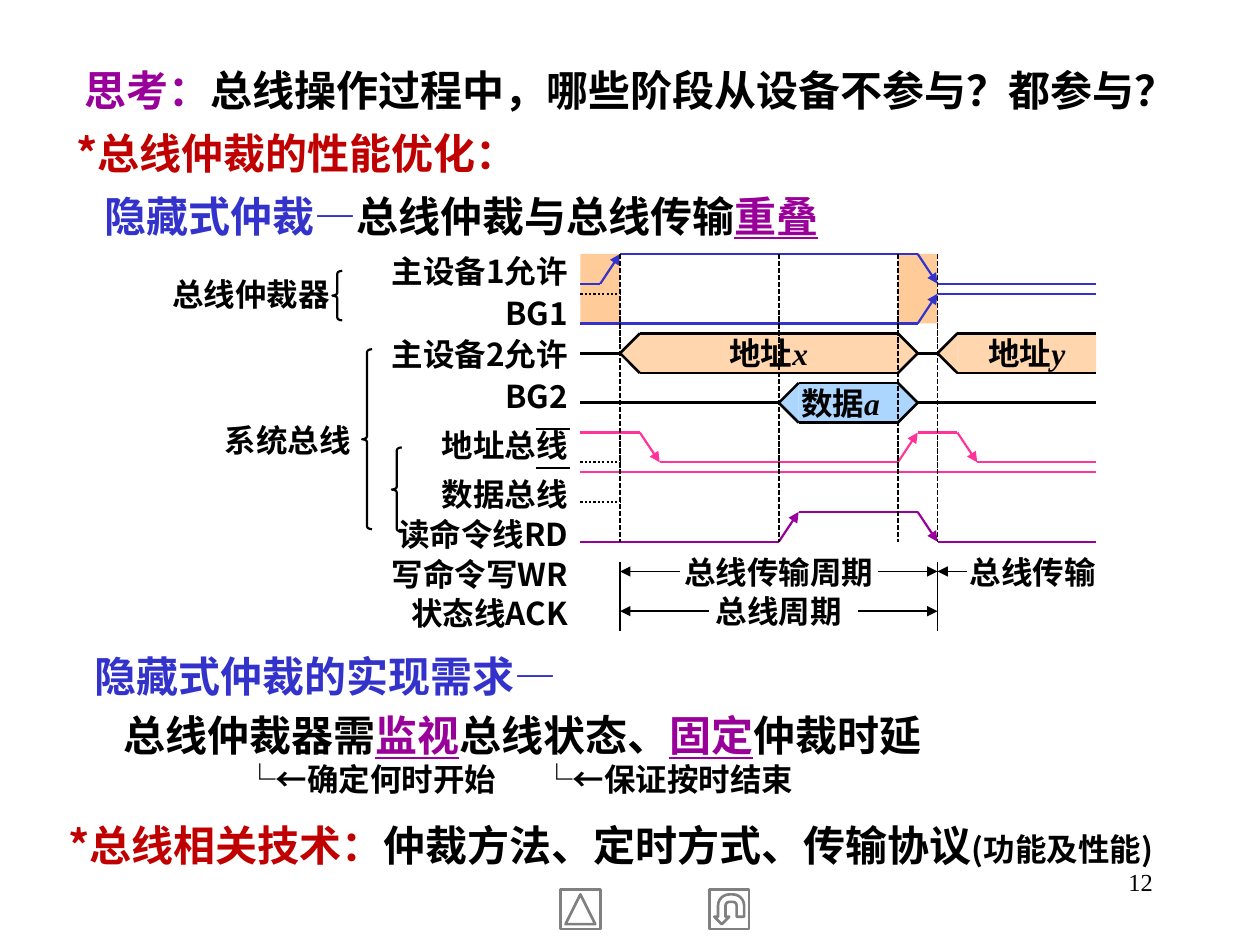
"""Build the slide on hidden bus arbitration with its timing diagram."""
from itertools import pairwise

from lxml.etree import SubElement
from pptx import Presentation
from pptx.dml.color import RGBColor
from pptx.enum.dml import MSO_LINE
from pptx.enum.shapes import MSO_CONNECTOR, MSO_SHAPE
from pptx.enum.text import MSO_ANCHOR, MSO_AUTO_SIZE, PP_ALIGN
from pptx.oxml.ns import qn
from pptx.util import Cm, Pt

BLACK, BLUE, PURPLE, RED = "000000", "3333CC", "990099", "C00000"
PINK, GRAY, ORANGE, PEACH, SKY = "FF3399", "808080", "FFCC99", "FFCC99", "99CCFF"
ROMAN = "Times New Roman"
TIGHT = (0.05, 0.03, 0.05, 0.03)
LOOSE = (0.25, 0.13, 0.25, 0.13)
START, GRANT, DATA, RELEASE, NEXT, END = 0, 2, 10, 16, 18, 26


def rgb(value):
    return RGBColor.from_string(value)


def grid(column, row):
    return 11.7 + 0.4 * column, 5.12 + 0.2 * row


class Painter:
    def __init__(self, slide):
        self.slide = slide
        self.font = "Noto Sans CJK SC"

    def run(self, paragraph, text, color=BLACK, size=18, bold=True, font=None, **marks):
        run = paragraph.add_run()
        run.text = text
        run.font.name = font or self.font
        SubElement(run._r.get_or_add_rPr(), qn("a:ea")).set("typeface", font or self.font)
        run.font.size = Pt(size)
        run.font.bold = bold
        run.font.color.rgb = rgb(color)
        for name, value in marks.items():
            setattr(run.font, name, value)

    def paragraph(self, frame, runs, indent=0, spacing=None, align=PP_ALIGN.LEFT, tab=None):
        paragraph = frame.paragraphs[0]
        if paragraph.runs:
            paragraph = frame.add_paragraph()
        properties = paragraph._p.get_or_add_pPr()
        if indent:
            properties.set("indent", str(Cm(indent)))
        if tab:
            tab_list = SubElement(properties, qn("a:tabLst"))
            SubElement(tab_list, qn("a:tab"), pos=str(Cm(tab)), algn="l")
        paragraph.alignment = align
        if spacing:
            paragraph.line_spacing = spacing
        for text, options in runs:
            self.run(paragraph, text, **options)

    def frame(self, shape, insets=TIGHT, anchor=MSO_ANCHOR.TOP):
        frame = shape.text_frame
        frame.word_wrap = True
        frame.vertical_anchor = anchor
        frame.margin_left, frame.margin_top, frame.margin_right, frame.margin_bottom = map(Cm, insets)
        return frame

    def text_box(self, left, top, width, height, insets=TIGHT, anchor=MSO_ANCHOR.TOP, grow=False):
        shape = self.slide.shapes.add_textbox(Cm(left), Cm(top), Cm(width), Cm(height))
        frame = self.frame(shape, insets, anchor)
        if grow:
            frame.auto_size = MSO_AUTO_SIZE.SHAPE_TO_FIT_TEXT
        return frame

    def label(self, left, top, width, text, align=PP_ALIGN.CENTER, height=0.8,
              anchor=MSO_ANCHOR.MIDDLE, spacing=None):
        frame = self.text_box(left, top, width, height, anchor=anchor)
        self.paragraph(frame, [(text, {})], align=align, spacing=spacing)

    def shape(self, kind, left, top, width, height, fill=None, alpha=None,
              line=None, weight=1.25, rotation=0):
        shape = self.slide.shapes.add_shape(kind, Cm(left), Cm(top), Cm(width), Cm(height))
        shape.shadow.inherit = False
        shape.rotation = rotation
        if fill:
            shape.fill.solid()
            shape.fill.fore_color.rgb = rgb(fill)
        else:
            shape.fill.background()
        if alpha:
            color = shape._element.spPr.find(".//" + qn("a:srgbClr"))
            SubElement(color, qn("a:alpha")).set("val", str(alpha * 1000))
        if line:
            shape.line.color.rgb = rgb(line)
            shape.line.width = Pt(weight)
        else:
            shape.line.fill.background()
        return shape

    def line(self, begin, end, color=BLACK, weight=1.25, dash=None, arrow=False):
        points = map(Cm, grid(*begin) + grid(*end))
        connector = self.slide.shapes.add_connector(MSO_CONNECTOR.STRAIGHT, *points)
        connector.line.color.rgb = rgb(color)
        connector.line.width = Pt(weight)
        if dash:
            connector.line.dash_style = dash
        if arrow:
            SubElement(connector.line._get_or_add_ln(), qn("a:tailEnd")).set("type", "triangle")
        SubElement(connector._element.spPr, qn("a:effectLst"))

    def signal(self, points, color=BLACK, weight=1.25):
        for begin, end in pairwise(points):
            self.line(begin, end, color, weight, arrow=begin[1] != end[1])

    def tip(self, column, row, fill, rotation):
        x, y = grid(column, row)
        self.shape(MSO_SHAPE.FLOWCHART_MERGE, x - 0.4, y - 0.2, 0.8, 0.4, fill, 80, rotation=rotation)

    def bus_value(self, left, right, top, fill, name, symbol, closed=True, align=PP_ALIGN.CENTER):
        inner, outer = left + 1, right - 1 if closed else right
        middle, bottom = top + 2, top + 4
        body = self.shape(MSO_SHAPE.RECTANGLE, *grid(inner, top), 0.4 * (outer - inner), 0.8, fill, 80)
        runs = [(name, {}), (symbol, {"font": ROMAN, "italic": True})]
        self.paragraph(self.frame(body, anchor=MSO_ANCHOR.MIDDLE), runs, align=align)
        self.tip(left + 0.5, middle, fill, 90)
        if closed:
            self.tip(right - 0.5, middle, fill, 270)
        for edge in (top, bottom):
            self.line((inner, edge), (outer, edge), weight=1.5)
            self.line((left, middle), (inner, edge), weight=1.5)
            if closed:
                self.line((outer, edge), (right, middle), weight=1.5)

    def brace(self, left, top, height):
        brace = self.shape(MSO_SHAPE.LEFT_BRACE, left, top, 0.2, height, line=BLACK)
        brace.adjustments[0] = 0.28


def draw_timing(painter):
    painter.shape(MSO_SHAPE.RECTANGLE, *grid(START, 0), 0.8, 1.4, ORANGE)
    painter.shape(MSO_SHAPE.RECTANGLE, *grid(RELEASE, 0), 0.8, 1.4, ORANGE)
    painter.bus_value(GRANT, 17, 8, PEACH, "地址", "x")
    painter.bus_value(DATA, 17, 13, SKY, "数据", "a", align=PP_ALIGN.LEFT)
    painter.bus_value(NEXT, END, 8, PEACH, "地址", "y", closed=False)
    signals = [
        (BLUE, [(START, 3), (1, 3), (GRANT, 0), (RELEASE, 0), (17, 0), (NEXT, 3), (END, 3)]),
        (BLUE, [(START, 7), (GRANT, 7), (RELEASE, 7), (17, 7), (NEXT, 4), (END, 4)]),
        (PINK, [(START, 18), (GRANT, 18), (3, 18), (4, 21), (RELEASE, 21), (17, 18),
                (NEXT, 18), (19, 18), (20, 21), (END, 21)]),
        (PINK, [(START, 22), (GRANT, 22), (RELEASE, 22), (NEXT, 22), (END, 22)]),
        (PURPLE, [(START, 29), (GRANT, 29), (DATA, 29), (11, 26), (RELEASE, 26), (17, 26),
                  (NEXT, 29), (END, 29)]),
    ]
    for color, points in signals:
        painter.signal(points, color)
    for points in ([(START, 10), (GRANT, 10)], [(17, 10), (NEXT, 10)],
                   [(START, 15), (GRANT, 15), (DATA, 15)], [(17, 15), (NEXT, 15), (END, 15)]):
        painter.signal(points, weight=1.5)
    for row in (4, 21, 25):
        painter.line((START, row), (GRANT, row), dash=MSO_LINE.ROUND_DOT)
    for column in (GRANT, DATA, RELEASE, NEXT):
        painter.line((column, 0), (column, 29), weight=1, dash=MSO_LINE.SQUARE_DOT)
    for column in (GRANT, NEXT):
        painter.line((column, 31), (column, 38), weight=1)
    for begin, end, row in ((15, NEXT, 32), (5, GRANT, 32), (14, NEXT, 36),
                            (6.5, GRANT, 36), (19.5, NEXT, 32)):
        painter.line((begin, row), (end, row), weight=1, arrow=True)
    painter.label(*grid(5, 30), 4, "总线传输周期")
    painter.label(*grid(6.5, 34), 2.8, "总线周期")
    painter.label(*grid(19.5, 30), 2.8, "总线传输", PP_ALIGN.LEFT)


def draw_signal_names(painter):
    frame = painter.text_box(6.9, 4.93, 4.6, 6, (0.05, 0.08, 0.05, 0.03))
    for name, spacing in (("主设备1允许BG1", 1.1), ("主设备2允许BG2", 1.1), ("地址总线", 1.3),
                          ("数据总线", 1.3), ("读命令线RD", 1.05), ("写命令写WR", 1.05),
                          ("状态线ACK", 1.05)):
        painter.paragraph(frame, [(name, {})], spacing=spacing, align=PP_ALIGN.RIGHT)
    for row in (17.6, 21.6):
        painter.line((-2.25, row), (-0.5, row))
    for left, top, height in ((7.9, 9.02, 1.7), (7.3, 7.04, 3.63), (6.7, 5.46, 1)):
        painter.brace(left, top, height)
    painter.label(4.3, 8.46, 3, "系统总线", height=0.86, anchor=MSO_ANCHOR.TOP)
    painter.label(3.4, 5.48, 3.3, "总线仲裁器", PP_ALIGN.RIGHT, 0.89, MSO_ANCHOR.TOP, 1.05)


def draw_statements(painter):
    big, blue, red = ({"size": 24, "color": color} for color in (BLACK, BLUE, RED))
    purple = {"size": 24, "color": PURPLE}
    key = {**purple, "underline": True}
    thin = {"bold": False}
    boxes = [
        (0.5, 0.91, 24.4, 1.37, [(0.95, [("思考：", purple), ("总线操作过程中，哪些阶段从设备不参与？都参与？", big)])]),
        (0.69, 2.18, 24.4, 2.82, [
            (0.6, [("*总线仲裁的性能优化：", red)]),
            (1.16, [("隐藏式仲裁—", blue), ("总线仲裁与总线传输", big), ("重叠", key)])]),
        (0.5, 12.72, 12.6, 1.55, [(1.16, [("隐藏式仲裁的实现需求—", blue)])]),
        (0.53, 16.13, 24.4, 1.55, [
            (0.6, [("*总线相关技术：", red), ("仲裁方法、定时方式、传输协议", big), ("(功能及性能)", {})])]),
        (0.5, 13.92, 24.4, 2.31, [
            (1.74, [("总线仲裁器需", big), ("监视", key), ("总线状态、", big), ("固定", key), ("仲裁时延", big)])]),
    ]
    for left, top, width, height, paragraphs in boxes:
        frame = painter.text_box(left, top, width, height, LOOSE, grow=True)
        for indent, runs in paragraphs:
            painter.paragraph(frame, runs, indent, 1.25)
    reasons = [("└", thin), ("←确定何时开始\t", {}), ("└", thin), ("←保证按时结束", {})]
    painter.paragraph(frame, reasons, 4.17, tab=9.65)


def main():
    presentation = Presentation()
    presentation.slide_width, presentation.slide_height = Cm(25.4), Cm(19.05)
    painter = Painter(presentation.slides.add_slide(presentation.slide_layouts[6]))
    draw_statements(painter)
    draw_timing(painter)
    draw_signal_names(painter)
    painter.shape(MSO_SHAPE.ACTION_BUTTON_BACK_OR_PREVIOUS, 11.3, 17.93, 0.8, 0.8,
                  line=GRAY, weight=1.5, rotation=90)
    painter.shape(MSO_SHAPE.ACTION_BUTTON_RETURN, 14.3, 17.93, 0.8, 0.8,
                  line=GRAY, weight=1.5, rotation=180)
    number = painter.text_box(18.21, 17.35, 5.28, 1.27, LOOSE)
    painter.paragraph(number, [("12", {"size": 14, "bold": False, "font": ROMAN})], align=PP_ALIGN.RIGHT)
    presentation.save("out.pptx")


if __name__ == "__main__":
    main()
